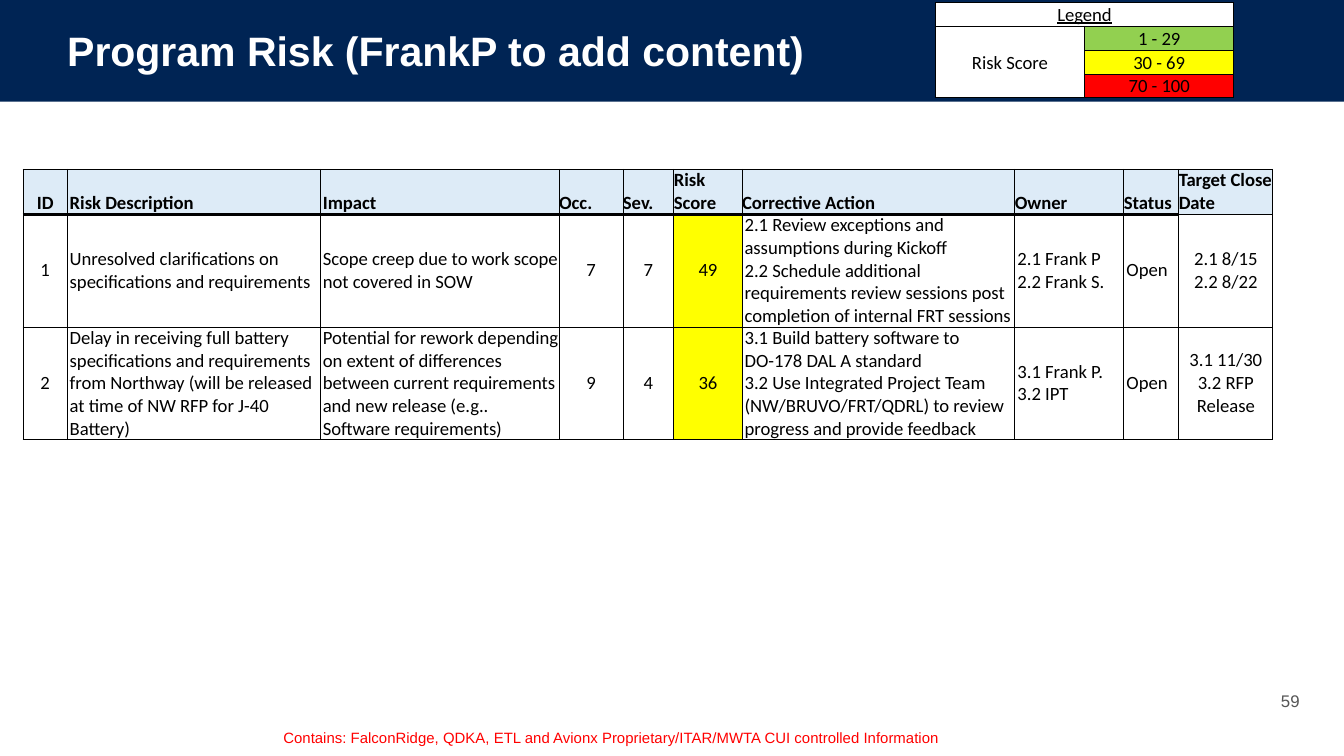
from lxml import etree
from pptx import Presentation
from pptx.dml.color import RGBColor
from pptx.enum import shapes, text
from pptx.oxml.ns import qn
from pptx.util import Pt

THEME = {
    "navy": "002454", "white": "FFFFFF", "black": "000000", "grey": "565656",
    "head": "DDEBF7", "green": "92D050", "yellow": "FFFF00", "red": "FF0000",
    "title": 22, "cell": 10, "page": 9, "note": 8,
    "thin": 0.5, "thick": 2,
}
LEFT, MID = text.PP_ALIGN.LEFT, text.PP_ALIGN.CENTER
CENTRE, LOW = text.MSO_ANCHOR.MIDDLE, text.MSO_ANCHOR.BOTTOM


def write(frame, words, size, color, align=LEFT, face="Arial", **form):
    frame.text = words
    frame.word_wrap = True
    for para in frame.paragraphs:
        para.alignment = align
        for run in para.runs:
            font = run.font
            for key, val in {"name": face, "size": Pt(THEME[size]), **form}.items():
                setattr(font, key, val)
            font.color.rgb = RGBColor.from_string(THEME[color])


def dress(cell, words, fill, align, anchor, pad, edge, **form):
    """Fill one table cell; pad is left, top, right, bottom and edge names the thick sides."""
    write(cell.text_frame, words, "cell", "black", align, "Calibri", **form)
    cell.vertical_anchor = anchor
    for side, gap in zip(("left", "top", "right", "bottom"), pad):
        setattr(cell, f"margin_{side}", Pt(gap))
    if fill:
        cell.fill.solid()
        cell.fill.fore_color.rgb = RGBColor.from_string(THEME[fill])
    else:
        cell.fill.background()
    props = cell._tc.get_or_add_tcPr()
    for spot, side in enumerate("LRTB"):
        width = Pt(THEME["thick" if side in edge else "thin"])
        line = etree.Element(qn(f"a:ln{side}"), w=str(int(width)))
        paint = etree.SubElement(line, qn("a:solidFill"))
        etree.SubElement(paint, qn("a:srgbClr"), val=THEME["black"])
        props.insert(spot, line)


deck = Presentation()
deck.slide_width, deck.slide_height = Pt(720), Pt(405)
slide = deck.slides.add_slide(deck.slide_layouts[5])

# Title on its band
title = slide.shapes.title
band = slide.shapes.add_shape(shapes.MSO_SHAPE.RECTANGLE, 0, 0, Pt(720), Pt(54.5))
band.shadow.inherit = False
band.fill.solid()
band.fill.fore_color.rgb = RGBColor.from_string(THEME["navy"])
band.line.fill.background()
title.element.addprevious(band.element)

place = {"left": 0, "top": 0, "width": Pt(720), "height": Pt(54)}
for key, val in place.items():
    setattr(title, key, val)
frame = title.text_frame
write(frame, "Program Risk (FrankP to add content)", "title", "white", bold=True)
margins = {"margin_left": Pt(36), "margin_right": Pt(36),
           "margin_top": Pt(3.6), "margin_bottom": Pt(3.6),
           "vertical_anchor": CENTRE, "auto_size": text.MSO_AUTO_SIZE.NONE}
for key, val in margins.items():
    setattr(frame, key, val)

# Page number and marking
page = slide.shapes.add_textbox(Pt(677.5), Pt(364.5), Pt(27.5), Pt(21.5))
write(page.text_frame, "59", "page", "grey", MID)
page.text_frame.vertical_anchor = CENTRE
note = slide.shapes.add_textbox(Pt(144.7), Pt(386.6), Pt(501), Pt(17))
write(note.text_frame, "Contains: FalconRidge, QDKA, ETL and Avionx "
      "Proprietary/ITAR/MWTA CUI controlled Information", "note", "red")

# Score legend
legend = slide.shapes.add_table(4, 2, Pt(501), Pt(1.3), Pt(160), Pt(51.2)).table
legend.first_row = legend.horz_banding = False
for row in legend.rows:
    row.height = Pt(12.8)
legend.cell(0, 0).merge(legend.cell(0, 1))
legend.cell(1, 0).merge(legend.cell(3, 0))
keys = [("Legend", "", "white"), ("Risk Score", "1 - 29", "green"),
        ("", "30 - 69", "yellow"), ("", "70 - 100", "red")]
for r, (name, score, tint) in enumerate(keys):
    for c, (words, fill) in enumerate([(name, "white"), (score, tint)]):
        dress(legend.cell(r, c), words, fill, MID, CENTRE if r else LOW,
              (0.7, 0.7, 0.7, 0), "", underline=r == 0)

# Risk register
widths = [23.6, 135.6, 128, 34.2, 27.3, 36.5, 146.2, 58.4, 29.4, 50.4]
heights = [24.1, 60.4, 60.2]
rows = [
    ["ID", "Risk Description", "Impact", "Occ.", "Sev.", "Risk Score",
     "Corrective Action", "Owner", "Status", "Target Close Date"],
    ["1", "Unresolved clarifications on specifications and requirements",
     "Scope creep due to work scope not covered in SOW", "7", "7", "49",
     "2.1 Review exceptions and assumptions during Kickoff\n"
     "2.2 Schedule additional requirements review sessions post "
     "completion of internal FRT sessions",
     "2.1 Frank P\n2.2 Frank S.", "Open", "2.1 8/15\n2.2 8/22"],
    ["2", "Delay in receiving full battery specifications and requirements "
     "from Northway (will be released at time of NW RFP for J-40 Battery)",
     "Potential for rework depending on extent of differences between current "
     "requirements and new release (e.g.. Software requirements)", "9", "4", "36",
     "3.1 Build battery software to DO-178 DAL A standard\n"
     "3.2 Use Integrated Project Team (NW/BRUVO/FRT/QDRL) to review "
     "progress and provide feedback",
     "3.1 Frank P.\n3.2 IPT", "Open", "3.1 11/30\n3.2 RFP Release"],
]
risks = slide.shapes.add_table(len(rows), len(widths), Pt(12.4), Pt(90.7),
                               Pt(sum(widths)), Pt(sum(heights))).table
risks.first_row = risks.horz_banding = False
for col, width in zip(risks.columns, widths):
    col.width = Pt(width)
for row, height in zip(risks.rows, heights):
    row.height = Pt(height)

last = len(widths) - 1
for r, row in enumerate(rows):
    head = r == 0
    mids = {0} if head else {0, 3, 4, 5, last}
    inset = {1, 2} if head else {1, 2, 6, 7, 8}
    for c, words in enumerate(row):
        fill = "head" if head else "yellow" if c == 5 else None
        edge = "" if c == last else ("B", "T", "")[r]
        dress(risks.cell(r, c), words, fill, MID if c in mids else LEFT,
              LOW if head else CENTRE, (1.4 if c in inset else 0, 0, 0, 0),
              edge, bold=head)

deck.save("out.pptx")
